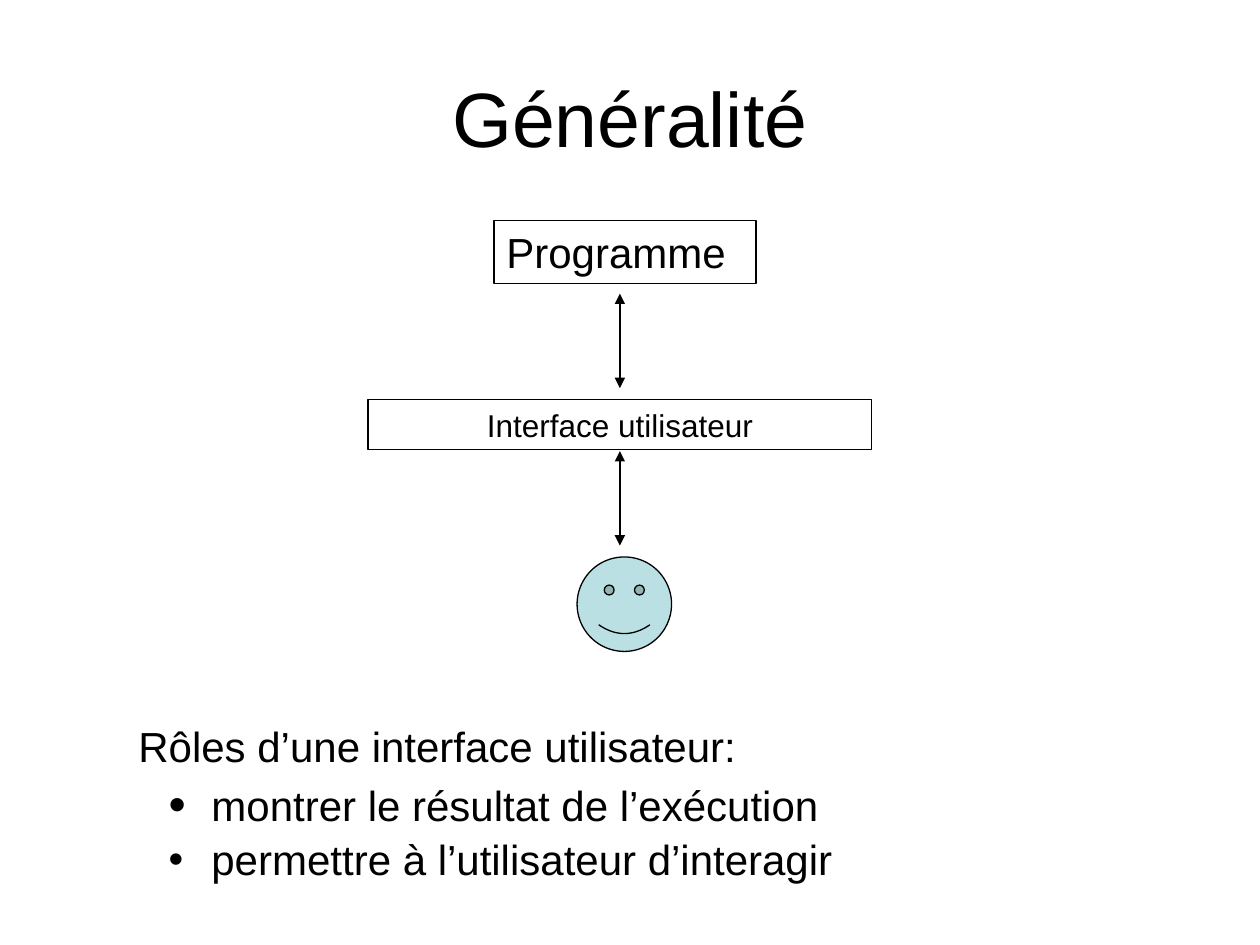
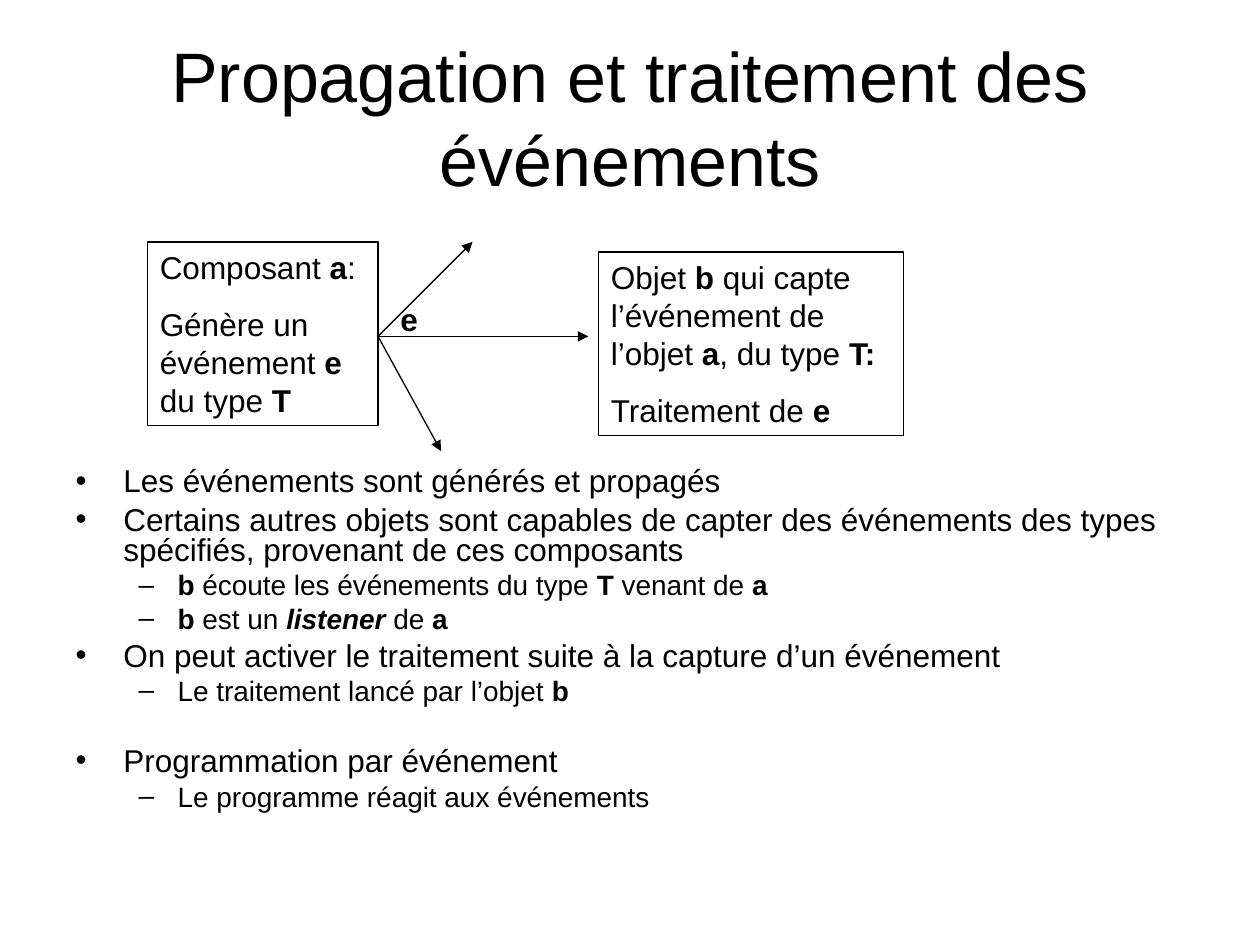
from lxml import etree
from pptx import Presentation
from pptx.dml.color import RGBColor
from pptx.enum.shapes import MSO_CONNECTOR, MSO_SHAPE
from pptx.enum.text import MSO_ANCHOR, MSO_AUTO_SIZE, PP_ALIGN
from pptx.oxml.ns import qn
from pptx.util import Inches, Pt

BLACK = RGBColor(0x00, 0x00, 0x00)
PALE_BLUE = RGBColor(0xBB, 0xE0, 0xE3)
FONT = "Arial"
LINE_WIDTH = Pt(0.75)
LEFT, CENTER = PP_ALIGN.LEFT, PP_ALIGN.CENTER
TOP, MIDDLE = MSO_ANCHOR.TOP, MSO_ANCHOR.MIDDLE
RECT, SMILEY = MSO_SHAPE.RECTANGLE, MSO_SHAPE.SMILEY_FACE
STRAIGHT = MSO_CONNECTOR.STRAIGHT
NO_AUTOFIT = MSO_AUTO_SIZE.NONE
TITLE_ONLY, TITLE_AND_CONTENT = 5, 1
TITLE_BOX = (0.5, 0.3, 9, 1.25)
# Level: bullet, left margin, hanging indent, size, space before
LEVELS = [("•", 0.38, -0.38, 18, 4.5), ("–", 0.81, -0.31, 16, 4)]


# Shared text helpers
def place(sp, box):
    sp.left, sp.top, sp.width, sp.height = [Inches(v) for v in box]


def setup_frame(sp, anchor=TOP):
    tf = sp.text_frame
    tf.word_wrap = True
    tf.auto_size = NO_AUTOFIT
    tf.vertical_anchor = anchor
    tf.margin_left = tf.margin_right = Inches(0.1)
    tf.margin_top = tf.margin_bottom = Inches(0.05)
    return tf


def next_paragraph(tf, index):
    return tf.paragraphs[0] if index == 0 else tf.add_paragraph()


def set_bullet(p, char, margin, indent, percent=100):
    pPr = p._p.get_or_add_pPr()
    pPr.set("marL", str(Inches(margin)))
    pPr.set("indent", str(Inches(indent)))
    etree.SubElement(pPr, qn("a:buSzPct")).set("val", str(percent * 1000))
    etree.SubElement(pPr, qn("a:buFont")).set("typeface", FONT)
    etree.SubElement(pPr, qn("a:buChar")).set("char", char)


def add_runs(p, runs, size, align=LEFT, before=0):
    """Each run is (text, style), where style holds b for bold, i for italic."""
    p.alignment = align
    p.space_before = Pt(before)
    for text, style in runs:
        r = p.add_run()
        r.text = text
        r.font.name = FONT
        r.font.size = Pt(size)
        r.font.color.rgb = BLACK
        r.font.bold = "b" in style
        r.font.italic = "i" in style


def add_paragraphs(tf, paragraphs, size, align=LEFT):
    for i, runs in enumerate(paragraphs):
        add_runs(next_paragraph(tf, i), runs, size, align, 11.2 if i else 0)


# Shared parts
def add_slide(prs, layout, title, size):
    slide = prs.slides.add_slide(prs.slide_layouts[layout])
    sp = slide.shapes.title
    place(sp, TITLE_BOX)
    tf = setup_frame(sp, MIDDLE)
    add_runs(tf.paragraphs[0], [(title, "")], size, CENTER)
    return slide


def add_outlined(slide, kind, box, fill=None):
    sp = slide.shapes.add_shape(kind, *[Inches(v) for v in box])
    sp.shadow.inherit = False
    if fill is None:
        sp.fill.background()
    else:
        sp.fill.solid()
        sp.fill.fore_color.rgb = fill
    sp.line.color.rgb = BLACK
    sp.line.width = LINE_WIDTH
    return sp


def add_box(slide, box, paragraphs, size=18, align=LEFT):
    sp = add_outlined(slide, RECT, box)
    add_paragraphs(setup_frame(sp), paragraphs, size, align)


def add_text(slide, box):
    return setup_frame(slide.shapes.add_textbox(*[Inches(v) for v in box]))


def add_arrow(slide, start, end, double=False):
    line = slide.shapes.add_connector(STRAIGHT, *[Inches(v) for v in (*start, *end)])
    line.line.color.rgb = BLACK
    line.line.width = LINE_WIDTH
    ln = line.line._get_or_add_ln()
    for tag in ("a:headEnd", "a:tailEnd") if double else ("a:tailEnd",):
        etree.SubElement(ln, qn(tag)).set("type", "triangle")
    etree.SubElement(line._element.spPr, qn("a:effectLst"))


# Slide 1: program, interface and user in a column
def interface_diagram(slide, left, top):
    add_box(slide, (left + 1, top, 2.08, 0.5), [[("Programme", "")]], 24)
    add_box(slide, (left, top + 1.42, 4, 0.4),
            [[("Interface utilisateur", "")]], align=CENTER)
    face = add_outlined(slide, SMILEY, (left + 1.66, top + 2.67, 0.75, 0.75), PALE_BLUE)
    face.adjustments[0] = 0.0465
    for y in (top + 0.58, top + 1.83):
        add_arrow(slide, (left + 2, y + 0.75), (left + 2, y), double=True)


def interface_roles(slide, box):
    tf = add_text(slide, box)
    add_runs(tf.paragraphs[0], [("Rôles d’une interface utilisateur:", "")], 24)
    roles = [("montrer le résultat de l’exécution", 117, 5),
             ("permettre à l’utilisateur d’interagir", 100, 2)]
    for text, percent, before in roles:
        p = tf.add_paragraph()
        p.level = 1
        set_bullet(p, "•", 0.58, -0.34, percent)
        add_runs(p, [(text, "")], 24, before=before)


def general_slide(prs):
    slide = add_slide(prs, TITLE_ONLY, "Généralité", 44)
    interface_diagram(slide, 2.92, 1.75)
    interface_roles(slide, (1, 5.67, 5.83, 1.37))


# Slide 2: event source, listener and notes
def event_diagram(slide, left, top):
    add_box(slide, (left, top, 1.83, 1.46), [
        [("Composant ", ""), ("a", "b"), (":", "")],
        [("Génère un événement ", ""), ("e ", "b"), ("du type ", ""), ("T", "b")],
    ])
    add_box(slide, (left + 3.58, top + 0.08, 2.42, 1.46), [
        [("Objet ", ""), ("b", "b"), (" qui capte l’événement de l’objet ", ""),
         ("a", "b"), (", du type ", ""), ("T:", "b")],
        [("Traitement de ", ""), ("e", "b")],
    ])
    x, y = left + 1.83, top + 0.75
    for dx, dy in ((1.67, 0), (0.75, -0.75), (0.5, 0.91)):
        add_arrow(slide, (x, y), (x + dx, y + dy))
    add_paragraphs(add_text(slide, (x + 0.08, y - 0.34, 0.33, 0.4)), [[("e", "b")]], 18)


def event_notes(slide, box):
    # Level, runs, extra space before
    notes = [
        (0, [("Les événements sont générés et propagés", "")], 0),
        (0, [("Certains autres objets sont capables de capter des événements "
              "des types spécifiés, provenant de ces composants", "")], 0),
        (1, [("b ", "b"), ("écoute les événements du type", ""), (" T ", "b"),
             ("venant de", ""), (" a", "b")], 0),
        (1, [("b ", "b"), ("est un ", ""), ("listener ", "bi"), ("de ", ""),
             ("a", "b")], 0),
        (0, [("On peut activer le traitement suite à la capture d’un événement", "")], 0),
        (1, [("Le traitement lancé par l’objet ", ""), ("b", "b")], 0),
        (0, [("Programmation par événement", "")], 19),
        (1, [("Le programme réagit aux événements", "")], 0),
    ]
    sp = slide.placeholders[1]
    place(sp, box)
    tf = setup_frame(sp)
    for i, (level, runs, extra) in enumerate(notes):
        char, margin, indent, size, before = LEVELS[level]
        p = next_paragraph(tf, i)
        p.level = level
        set_bullet(p, char, margin, indent)
        p.line_spacing = 0.8
        add_runs(p, runs, size, before=before + extra if i else 0)


def events_slide(prs):
    slide = add_slide(prs, TITLE_AND_CONTENT,
                      "Propagation et traitement des événements", 40)
    event_notes(slide, (0.5, 3.67, 9, 3.03))
    event_diagram(slide, 1.17, 1.92)


def main():
    prs = Presentation()
    prs.slide_width, prs.slide_height = Inches(10), Inches(7.5)
    general_slide(prs)
    events_slide(prs)
    prs.save("out.pptx")


if __name__ == "__main__":
    main()
